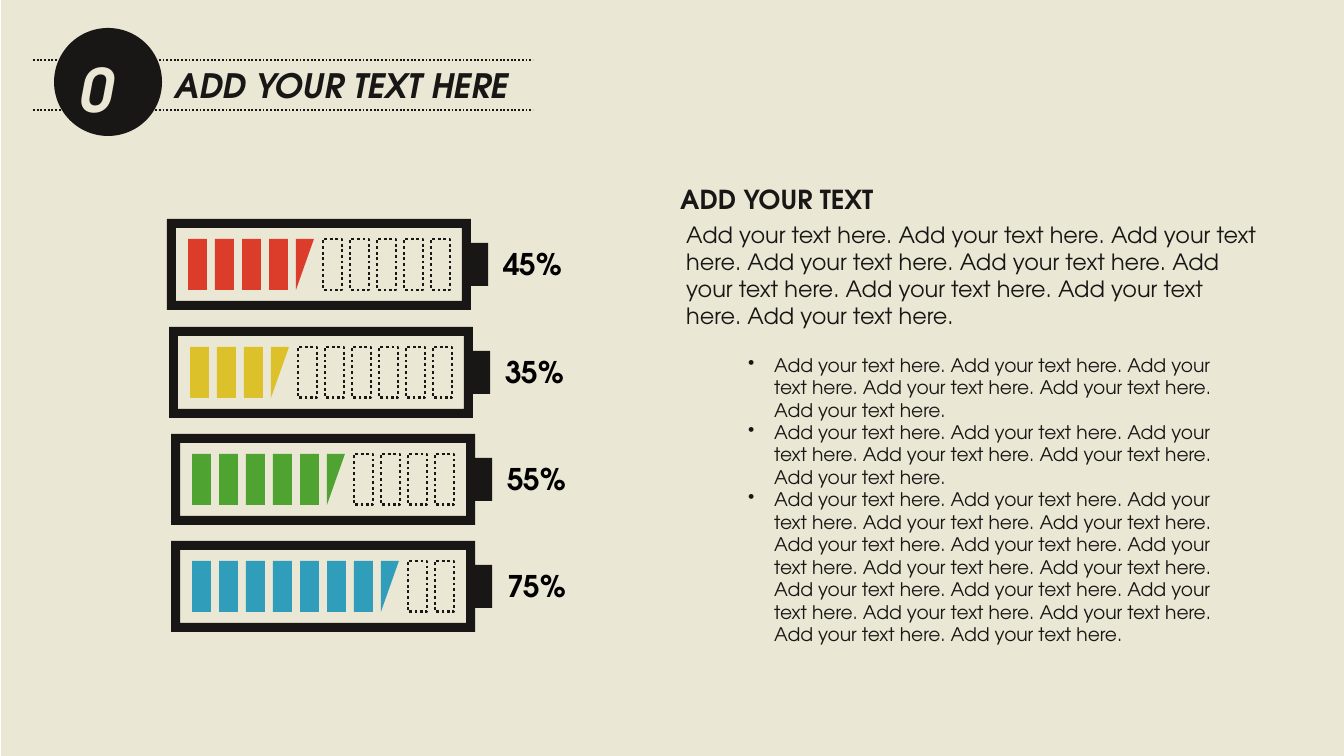
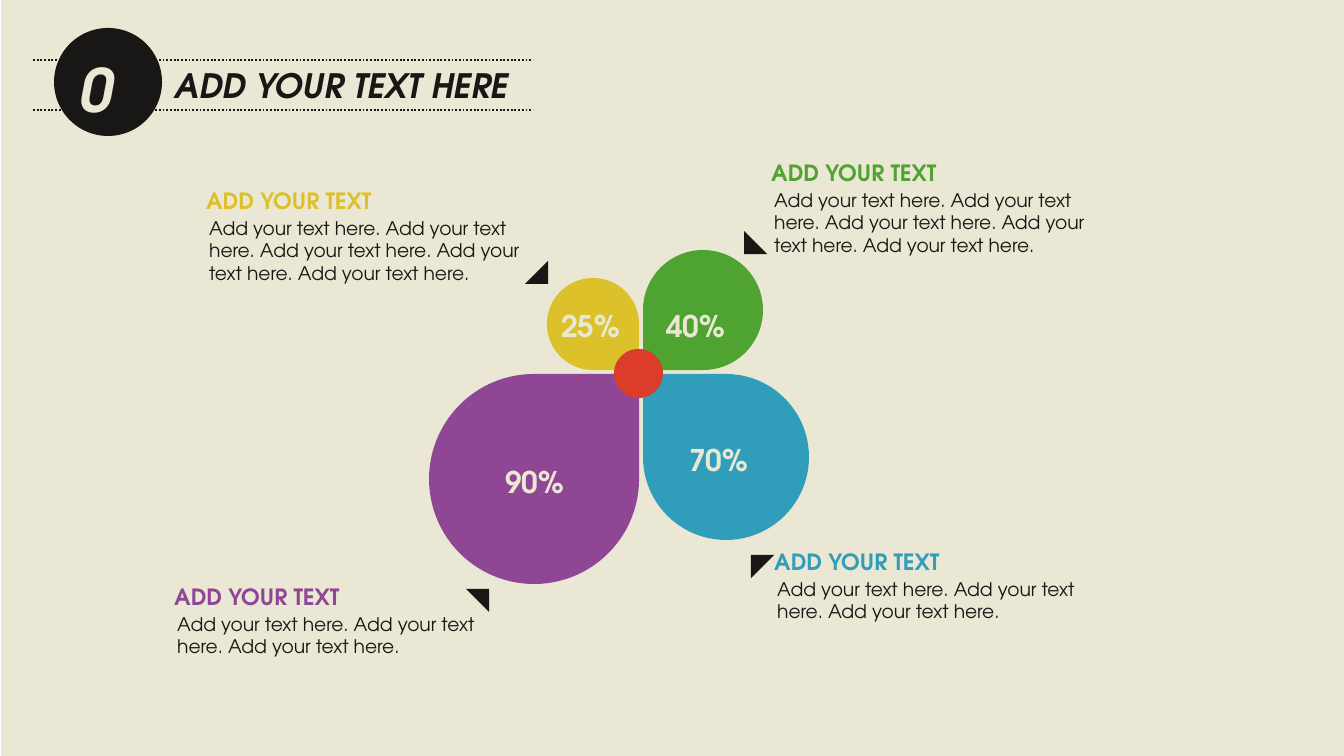
from lxml import etree
from pptx import Presentation
from pptx.dml.color import RGBColor
from pptx.enum.dml import MSO_LINE
from pptx.enum.shapes import MSO_CONNECTOR, MSO_SHAPE
from pptx.enum.text import MSO_AUTO_SIZE
from pptx.oxml.ns import qn
from pptx.util import Pt

RECTANGLE, OVAL = MSO_SHAPE.RECTANGLE, MSO_SHAPE.OVAL
TEAR, RIGHT_TRIANGLE = MSO_SHAPE.TEAR, MSO_SHAPE.RIGHT_TRIANGLE
STRAIGHT = MSO_CONNECTOR.STRAIGHT
DOTTED = MSO_LINE.ROUND_DOT
GROW = MSO_AUTO_SIZE.SHAPE_TO_FIT_TEXT

SCALE = 914400 / 134.4
FONT = "TeX Gyre Adventor"
CREAM, INK, BLACK = "EAE7D4", "181715", "000000"
RED, YELLOW, GREEN = "DC3D2A", "DCC12A", "4FA331"
BLUE, PURPLE = "309EBA", "8F4695"
SENTENCE = "Add your text here."
HEADING = "ADD YOUR TEXT"

BATTERIES = [
    (45, RED, 167, 219),
    (35, YELLOW, 169, 327),
    (55, GREEN, 171, 434),
    (75, BLUE, 171, 541),
]

PETALS = [
    (PURPLE, 210, -1, 1, 0, "90%", (492, 457), (466, 589)),
    (BLUE, 166, 1, 1, 270, "70%", (676, 435), (751, 555)),
    (GREEN, 120, 1, -1, 180, "40%", (653, 301), (744, 231)),
    (YELLOW, 92, -1, -1, 90, "25%", (548, 301), (525, 261)),
]

CALLOUTS = [
    (GREEN, 758, 153, 345, 5),
    (BLUE, 761, 542, 333, 3),
    (PURPLE, 161, 577, 333, 3),
    (YELLOW, 193, 181, 343, 5),
]


def px(length):
    return round(length * SCALE)


def colour(value):
    return RGBColor.from_string(value)


def sentences(count):
    return " ".join([SENTENCE] * count)


def paint(shape, fill):
    shape.shadow.inherit = False
    shape.line.fill.background()
    shape.fill.solid()
    shape.fill.fore_color.rgb = colour(fill)
    return shape


def add_preset(page, kind, left, top, width, height, fill, rotation=0):
    shape = page.shapes.add_shape(kind, px(left), px(top), px(width), px(height))
    shape.rotation = rotation
    return paint(shape, fill)


def add_outline(page, contours, left, top, fill):
    builder = page.shapes.build_freeform(*contours[0][0], scale=SCALE)
    for index, points in enumerate(contours):
        if index:
            builder.move_to(*points[0])
        builder.add_line_segments(points[1:], close=True)
    return paint(builder.convert_to_shape(px(left), px(top)), fill)


def add_text(page, left, top, width, height, texts, size, ink=INK,
             bold=False, italic=False, wrap=False, bullet=False):
    box = page.shapes.add_textbox(px(left), px(top), px(width), px(height))
    frame = box.text_frame
    frame.word_wrap = wrap
    frame.auto_size = GROW
    for index, text in enumerate(texts):
        para = frame.add_paragraph() if index else frame.paragraphs[0]
        para.add_run().text = text
        if bullet:
            add_bullet(para, ink)
        para.font.name = FONT
        para.font.size = Pt(size)
        para.font.bold = bold
        para.font.italic = italic
        para.font.color.rgb = colour(ink)


def add_bullet(para, ink):
    properties = para._p.get_or_add_pPr()
    properties.set("marL", str(px(26)))
    properties.set("indent", str(-px(26)))
    bullet_colour = etree.SubElement(properties, qn("a:buClr"))
    etree.SubElement(bullet_colour, qn("a:srgbClr"), val=ink)
    etree.SubElement(properties, qn("a:buChar"), char="•")


def add_rule(page, left, top, width):
    rule = page.shapes.add_connector(STRAIGHT, px(left), px(top), px(left + width), px(top))
    rule.line.color.rgb = colour(INK)
    rule.line.width = Pt(1)
    rule.line.dash_style = DOTTED
    etree.SubElement(rule._element.spPr, qn("a:effectLst"))


def add_page(deck):
    page = deck.slides.add_slide(deck.slide_layouts[6])
    add_preset(page, RECTANGLE, 1, 0, 1343, 758, CREAM)
    add_header(page, 33, 28)
    return page


def add_header(page, left, top):
    for offset in (32, 82):
        add_rule(page, left, top + offset, 500)
    add_preset(page, OVAL, left + 21, top, 108, 108, INK)
    add_text(page, left + 128, top + 30, 362, 54, ["ADD YOUR TEXT HERE"], 18,
             bold=True, italic=True)
    add_text(page, left + 33, top + 18, 93, 86, ["01"], 32, CREAM,
             bold=True, italic=True)


def add_battery(page, left, top, percent, fill):
    opening = [(9, 9), (9, 82), (295, 82), (295, 9)]
    casing = [(0, 0), (304, 0), (304, 24), (321, 24),
              (321, 67), (304, 67), (304, 91), (0, 91)]
    add_outline(page, [casing, opening], left, top, INK)
    full_cells = percent // 10
    for index in range(10):
        cell_left, cell_top = left + 21 + 27 * index, top + 20
        if index == full_cells:
            add_outline(page, [[(0, 0), (18, 0), (0, 51)]], cell_left, cell_top, fill)
            continue
        cell = add_preset(page, RECTANGLE, cell_left, cell_top, 19, 51, fill)
        if index > full_cells:
            cell.fill.background()
            cell.line.color.rgb = colour(INK)
            cell.line.width = Pt(1.5)
            cell.line.dash_style = DOTTED
    add_text(page, left + 323, top + 20, 87, 50, [f"{percent}%"], 16, BLACK, bold=True)


def add_reading_column(page, left, top):
    add_text(page, left, top, 234, 46, [HEADING], 14, bold=True)
    add_text(page, left + 6, top + 38, 602, 121, [sentences(9)], 12, wrap=True)
    add_text(page, left + 68, top + 170, 519, 305,
             [sentences(count) for count in (6, 6, 17)], 10, wrap=True, bullet=True)


def add_flower(page, centre_x, centre_y):
    gap = 2
    for fill, size, side, level, turn, label, label_at, pointer_at in PETALS:
        left = centre_x + gap if side > 0 else centre_x - gap - size
        top = centre_y + gap if level > 0 else centre_y - gap - size
        add_preset(page, TEAR, left, top, size, size, fill, turn)
        add_preset(page, RIGHT_TRIANGLE, *pointer_at, 23, 23, INK, (turn + 180) % 360)
        add_text(page, *label_at, 87, 50, [label], 16, CREAM, bold=True)
    add_preset(page, OVAL, centre_x - 27, centre_y - 23, 49, 49, RED)


def add_callout(page, left, top, width, ink, count):
    add_text(page, left, top, 204, 40, [HEADING], 12, ink, bold=True)
    add_text(page, left + 3, top + 29, width, 30 + 15 * count, [sentences(count)], 10, wrap=True)


def build_battery_page(deck):
    page = add_page(deck)
    for percent, fill, left, top in BATTERIES:
        add_battery(page, left, top, percent, fill)
    add_reading_column(page, 667, 177)


def build_petal_page(deck):
    page = add_page(deck)
    add_flower(page, 641, 372)
    for ink, left, top, width, count in CALLOUTS:
        add_callout(page, left, top, width, ink, count)


def main():
    deck = Presentation()
    deck.slide_width, deck.slide_height = px(1344), px(756)
    build_battery_page(deck)
    build_petal_page(deck)
    deck.save("out.pptx")


if __name__ == "__main__":
    main()
